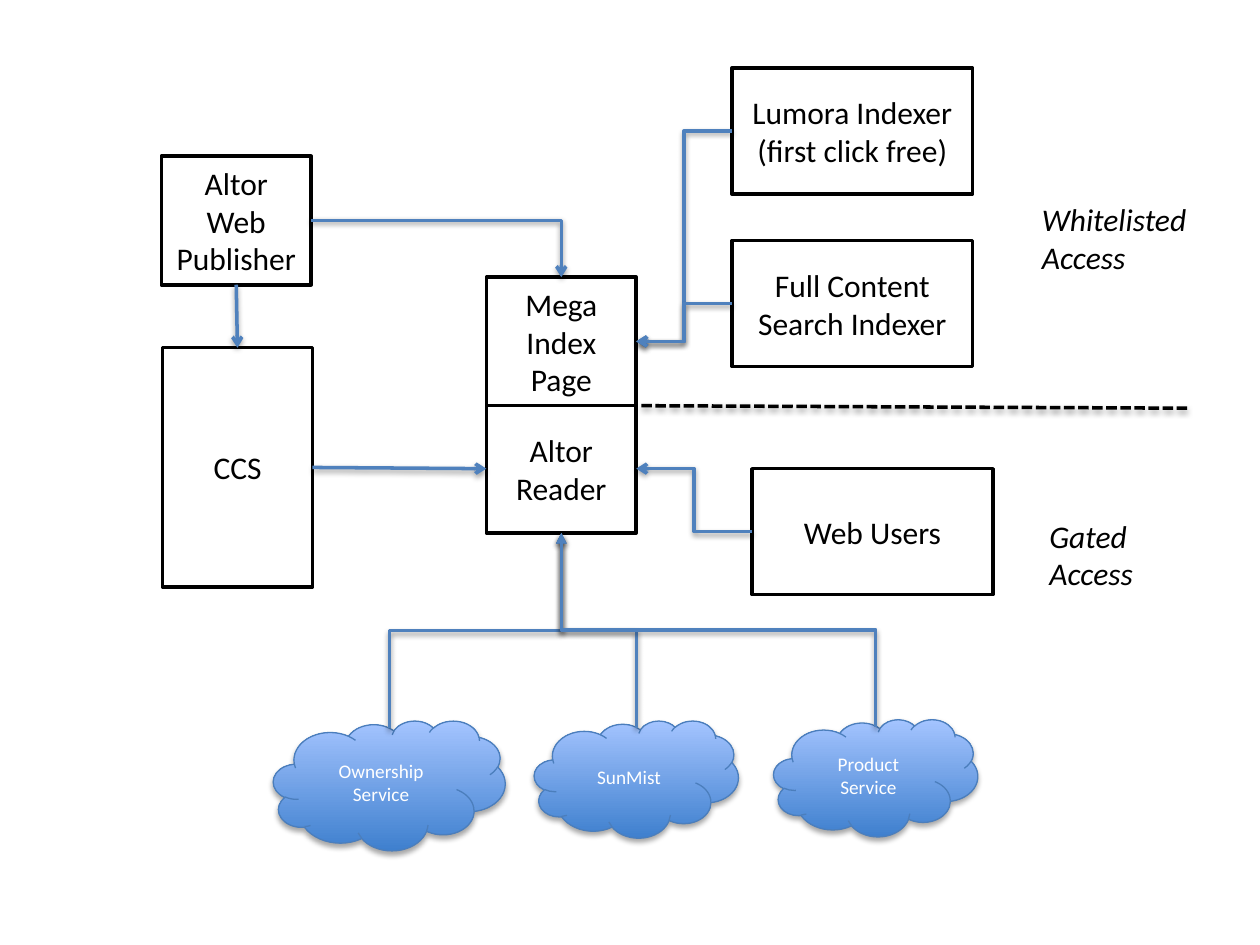
from dataclasses import dataclass
from lxml.etree import SubElement
from pptx import Presentation
from pptx.dml.color import RGBColor
from pptx.enum.dml import MSO_LINE
from pptx.enum.shapes import MSO_CONNECTOR, MSO_SHAPE
from pptx.enum.text import MSO_ANCHOR, MSO_AUTO_SIZE, PP_ALIGN
from pptx.oxml.ns import qn
from pptx.util import Inches, Pt


@dataclass(frozen=True)
class Theme:
    """Colours, font and sizes of the diagram."""
    font: str = "Calibri"
    ink: str = "000000"
    paper: str = "FFFFFF"
    arrow: str = "4F81BD"
    cloud_low: str = "3F80CE"
    cloud_high: str = "A4C4FF"
    cloud_edge: str = "4B7EBC"
    body: int = 18
    small: int = 11
    line: float = 2
    thin: float = 0.75


class Diagram:
    """Draws on a slide with a grid of 100 columns by 75 rows."""

    def __init__(self, prs, theme):
        self.s = prs.slides.add_slide(prs.slide_layouts[6])
        self.t = theme
        self.col, self.row = prs.slide_width / 100, prs.slide_height / 75

    def place(self, x, y, w, h):
        """Turn grid units into slide lengths."""
        return [round(v) for v in (x * self.col, y * self.row, w * self.col, h * self.row)]

    def add_text(self, sp, text, size, color, align, italic=False):
        """Fill a shape: newline starts a paragraph, vertical tab a line."""
        tf = sp.text_frame
        tf.word_wrap = True
        for i, para in enumerate(text.split("\n")):
            p = tf.paragraphs[0] if i == 0 else tf.add_paragraph()
            p.alignment = align
            for j, part in enumerate(para.split("\v")):
                if j:
                    p.add_line_break()
                r = p.add_run()
                r.text = part
                r.font.name, r.font.size, r.font.italic = self.t.font, Pt(size), italic
                r.font.color.rgb = RGBColor.from_string(color)
        return tf

    def outline(self, sp, color, width):
        """Set the line of a shape or connector."""
        sp.line.color.rgb = RGBColor.from_string(color)
        sp.line.width = Pt(width)

    def shadow(self, sp, dist, alpha):
        """Give a soft shadow straight below."""
        fx = SubElement(sp._element.spPr, qn("a:effectLst"))
        sh = SubElement(fx, qn("a:outerShdw"), blurRad="40000", dist=str(dist),
                        dir="5400000", rotWithShape="0")
        clr = SubElement(sh, qn("a:srgbClr"), val=self.t.ink)
        SubElement(clr, qn("a:alpha"), val=str(alpha * 1000))

    def box(self, text, x, y, w, h):
        """Add an outlined box with centred text."""
        sp = self.s.shapes.add_shape(MSO_SHAPE.RECTANGLE, *self.place(x, y, w, h))
        sp.shadow.inherit = False
        sp.fill.solid()
        sp.fill.fore_color.rgb = RGBColor.from_string(self.t.paper)
        self.outline(sp, self.t.ink, self.t.line)
        tf = self.add_text(sp, text, self.t.body, self.t.ink, PP_ALIGN.CENTER)
        tf.vertical_anchor = MSO_ANCHOR.MIDDLE
        return sp

    def cloud(self, text, x, y, w, h):
        """Add a shaded cloud with small text."""
        sp = self.s.shapes.add_shape(MSO_SHAPE.CLOUD, *self.place(x, y, w, h))
        sp.fill.gradient()
        sp.fill.gradient_angle = 90
        for stop, color in zip(sp.fill.gradient_stops, (self.t.cloud_low, self.t.cloud_high)):
            stop.color.rgb = RGBColor.from_string(color)
        self.outline(sp, self.t.cloud_edge, self.t.thin)
        self.shadow(sp, 23000, 35)
        tf = self.add_text(sp, text, self.t.small, self.t.paper, PP_ALIGN.CENTER)
        tf.vertical_anchor = MSO_ANCHOR.MIDDLE
        return sp

    def label(self, text, x, y, w, h):
        """Add an italic label."""
        tb = self.s.shapes.add_textbox(*self.place(x, y, w, h))
        tf = self.add_text(tb, text, self.t.body, self.t.ink, PP_ALIGN.LEFT, True)
        tf.auto_size = MSO_AUTO_SIZE.SHAPE_TO_FIT_TEXT

    def connect(self, kind, start, end, color=None, **ends):
        """Add a shadowed connector; ends maps headEnd or tailEnd to a type."""
        c = self.s.shapes.add_connector(kind, *(round(v) for v in (*start, *end)))
        self.outline(c, color or self.t.arrow, self.t.line)
        for tag, head in ends.items():
            SubElement(c._element.spPr.find(qn("a:ln")), qn("a:" + tag), type=head)
        self.shadow(c, 20000, 38)
        return c

    def straight(self, start, end):
        """Add a straight arrow."""
        self.connect(MSO_CONNECTOR.STRAIGHT, start, end, tailEnd="arrow")

    def elbow(self, start, end):
        """Add an arrow that leaves and arrives sideways."""
        return self.connect(MSO_CONNECTOR.ELBOW, start, end, tailEnd="arrow")

    def corner(self, start, end):
        """Add an arrow with a single bend."""
        c = self.elbow(start, end)
        c._element.spPr.find(qn("a:prstGeom")).set("prst", "bentConnector2")

    def drop(self, start, end):
        """Add an elbow that leaves downwards, with its arrowhead at the start."""
        cx, cy = (start[0] + end[0]) / 2, (start[1] + end[1]) / 2
        dx, dy = (end[0] - start[0]) / 2, (end[1] - start[1]) / 2
        c = self.connect(MSO_CONNECTOR.ELBOW, (cx - dy, cy + dx), (cx + dy, cy - dx),
                         headEnd="triangle")
        c._element.spPr.find(qn("a:xfrm")).set("rot", "5400000")

    def divider(self, x1, y1, x2, y2):
        """Add a dashed divider."""
        c = self.connect(MSO_CONNECTOR.STRAIGHT, (x1 * self.col, y1 * self.row),
                         (x2 * self.col, y2 * self.row), self.t.ink)
        c.line.dash_style = MSO_LINE.SQUARE_DOT


def at(sp, fx, fy):
    """Return the point at a share of a shape's width and height."""
    return sp.left + sp.width * fx, sp.top + sp.height * fy


prs = Presentation()
prs.slide_width, prs.slide_height = Inches(10), Inches(7.5)
d = Diagram(prs, Theme())

SMALL, WIDE = (11.9, 10.2), (19.1, 10)
ccs = d.box("CCS", 12.9, 27.6, 11.9, 19)
publisher = d.box("Altor\nWeb\nPublisher", 12.8, 12.4, *SMALL)
reader = d.box("Altor\nReader", 38.6, 32.1, *SMALL)
index_page = d.box("Mega Index Page", 38.6, 22, *SMALL)
indexers = [d.box(text, 58.1, y, *WIDE) for text, y in (
    ("Lumora Indexer\n(first click free)", 5.4), ("Full Content Search Indexer", 19.1))]
users = d.box("Web Users", 59.7, 37.2, *WIDE)
clouds = [d.cloud(*args) for args in (
    ("Ownership Service", 21.7, 57.2, 18.4, 10.3),
    ("SunMist", 42.4, 57.2, 16.2, 9.3),
    ("Product Service", 61.4, 57.1, 16.2, 9.3))]
d.label("Whitelisted\vAccess", 81.7, 15.4, 15.1, 7.1)
d.label("Gated\vAccess", 82.3, 40.5, 15.1, 7.1)

d.straight(at(publisher, 0.5, 1), at(ccs, 0.5, 0))
d.straight(at(ccs, 1, 0.5), at(reader, 0, 0.5))
d.corner(at(publisher, 1, 0.5), at(index_page, 0.5, 0))
for indexer in indexers:
    d.elbow(at(indexer, 0, 0.5), at(index_page, 1, 0.5))
d.elbow(at(users, 0, 0.5), at(reader, 1, 0.5))
for cloud in clouds:
    d.drop(at(reader, 0.5, 1), at(cloud, 0.5, 0.06))
d.divider(50.9, 32.2, 94.5, 32.4)

prs.save("out.pptx")
